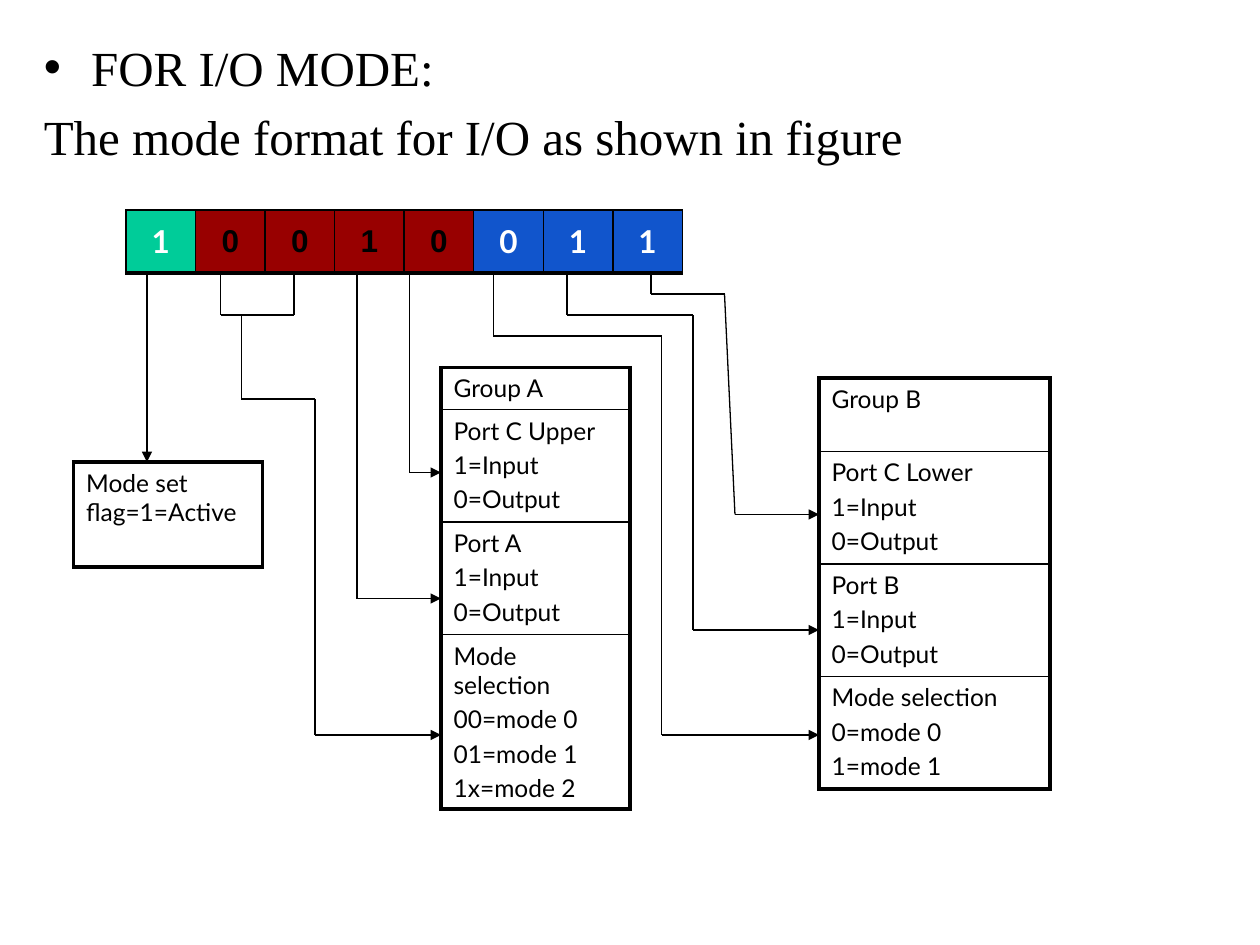
from dataclasses import dataclass
from itertools import pairwise

from lxml.etree import SubElement
from pptx import Presentation
from pptx.dml.color import RGBColor
from pptx.enum.shapes import MSO_CONNECTOR
from pptx.enum.text import MSO_ANCHOR, PP_ALIGN
from pptx.oxml.ns import qn
from pptx.util import Pt

COLORS = {"ink": "000000", "white": "FFFFFF", "flag": "00CC99",
          "group_a": "980000", "group_b": "1155CC"}
THIN, THICK = 1, 2.25
TABLE_FRAME = 236.22


@dataclass
class Bit:
    value: str
    fill: str
    color: str
    font: str


@dataclass
class Panel:
    left: float
    top: float
    width: float
    heights: list[float]
    rows: list[list[str]]


@dataclass
class Wire:
    points: list[tuple[float, float]]
    arrow: bool = True


flag_bit = Bit("1", "flag", "white", "Lato")
BITS = ([flag_bit]
        + [Bit(value, "group_a", "ink", "Arial") for value in "0010"]
        + [Bit(value, "group_b", "white", "Lato") for value in "011"])

IN_OUT = ["1=Input", "0=Output"]
PANELS = [
    Panel(252, 210, 108, [24, 64.3, 64.3, 84], [
        ["Group A"], ["Port C Upper", *IN_OUT], ["Port A", *IN_OUT],
        ["Mode selection", "00=mode 0", "01=mode 1", "1x=mode 2"]]),
    Panel(468, 216, 132, [42, 64.3, 64.3, 64.3], [
        ["Group B"], ["Port C Lower", *IN_OUT], ["Port B", *IN_OUT],
        ["Mode selection", "0=mode 0", "1=mode 1"]]),
    Panel(42, 264, 108, [60], [["Mode set flag=1=Active"]]),
]

BITS_BOTTOM = 156
WIRES = [
    Wire([(84, BITS_BOTTOM), (84, 264)]),
    Wire([(126, BITS_BOTTOM), (126, 180), (168, 180), (168, BITS_BOTTOM)], arrow=False),
    Wire([(138, 180), (138, 228), (180, 228), (180, 420), (252, 420)]),
    Wire([(204, BITS_BOTTOM), (204, 342), (252, 342)]),
    Wire([(234, BITS_BOTTOM), (234, 270), (252, 270)]),
    Wire([(282, BITS_BOTTOM), (282, 192), (378, 192), (378, 420), (468, 420)]),
    Wire([(324, BITS_BOTTOM), (324, 180), (396, 180), (396, 360), (468, 360)]),
    Wire([(372, BITS_BOTTOM), (372, 168), (414, 168), (420, 294), (468, 294)]),
]


def rgb(name: str) -> RGBColor:
    return RGBColor.from_string(COLORS[name])


def style(paragraph, font: str, size: float, color: str, bold: bool = False) -> None:
    paragraph.font.name = font
    paragraph.font.size = Pt(size)
    paragraph.font.bold = bold
    paragraph.font.color.rgb = rgb(color)


def set_borders(cell, left: float, right: float, top: float, bottom: float) -> None:
    """Borders go into the cell before its fill."""
    properties = cell._tc.get_or_add_tcPr()
    for side, width in zip("LRTB", (left, right, top, bottom)):
        line = SubElement(properties, qn(f"a:ln{side}"), w=str(Pt(width)))
        fill = SubElement(line, qn("a:solidFill"))
        SubElement(fill, qn("a:srgbClr"), val=COLORS["ink"])


def add_plain_table(slide, left: float, top: float,
                    widths: list[float], heights: list[float]):
    frame = slide.shapes.add_table(
        len(heights), len(widths), Pt(left), Pt(top),
        Pt(TABLE_FRAME), Pt(TABLE_FRAME))
    table = frame.table
    table.first_row = table.horz_banding = False
    for column, width in zip(table.columns, widths):
        column.width = Pt(width)
    for row, height in zip(table.rows, heights):
        row.height = Pt(height)
    # Every table keeps the same square frame, whatever its rows and columns add up to
    frame.width = frame.height = Pt(TABLE_FRAME)
    return table


def add_heading(slide) -> None:
    frame = slide.shapes.add_textbox(Pt(18), Pt(18), Pt(690), Pt(498)).text_frame
    frame.word_wrap = True
    frame.text = "FOR I/O MODE:\nThe mode format for I/O as shown in figure"
    title, subtitle = frame.paragraphs
    for paragraph in (title, subtitle):
        properties = paragraph._p.get_or_add_pPr()
        properties.set("marL", str(Pt(27)))
        properties.set("indent", str(Pt(-27)))
    bullet_color = SubElement(title._p.pPr, qn("a:buClr"))
    SubElement(bullet_color, qn("a:srgbClr"), val=COLORS["ink"])
    SubElement(title._p.pPr, qn("a:buFont"), typeface="Arial")
    SubElement(title._p.pPr, qn("a:buChar"), char="•")
    SubElement(subtitle._p.pPr, qn("a:buNone"))
    subtitle.space_before = Pt(5.6)
    for paragraph in (title, subtitle):
        style(paragraph, "Times New Roman", 28, "ink")


def add_control_word(slide, bits: list[Bit]) -> None:
    table = add_plain_table(slide, 72, 120, [39.75] * len(bits), [36])
    for cell, bit in zip(table.iter_cells(), bits):
        set_borders(cell, THIN, THIN, THIN, 3)
        cell.fill.solid()
        cell.fill.fore_color.rgb = rgb(bit.fill)
        cell.vertical_anchor = MSO_ANCHOR.MIDDLE
        cell.text = bit.value
        digit = cell.text_frame.paragraphs[0]
        digit.alignment = PP_ALIGN.CENTER
        style(digit, bit.font, 18, bit.color, bold=True)


def add_panel(slide, panel: Panel) -> None:
    table = add_plain_table(slide, panel.left, panel.top, [panel.width], panel.heights)
    last = len(panel.rows) - 1
    for index, (cell, lines) in enumerate(zip(table.iter_cells(), panel.rows)):
        set_borders(cell, THICK, THICK, THICK if index == 0 else THIN,
                    THICK if index == last else THIN)
        cell.fill.background()
        cell.text = "\n".join(lines)
        for number, paragraph in enumerate(cell.text_frame.paragraphs):
            if number:
                paragraph.space_before = Pt(2.8)
            style(paragraph, "Lato", 14, "ink")


def add_wire(slide, wire: Wire) -> None:
    for start, end in pairwise(wire.points):
        segment = slide.shapes.add_connector(
            MSO_CONNECTOR.STRAIGHT, *(Pt(value) for value in (*start, *end)))
        segment.line.width = Pt(0.75)
        segment.line.color.rgb = rgb("ink")
        if wire.arrow and end == wire.points[-1]:
            SubElement(segment.line._get_or_add_ln(), qn("a:tailEnd"), type="triangle")
        SubElement(segment._element.spPr, qn("a:effectLst"))


def main() -> None:
    presentation = Presentation()
    presentation.slide_width, presentation.slide_height = Pt(720), Pt(540)
    slide = presentation.slides.add_slide(presentation.slide_layouts[6])

    # Heading and the eight control bits
    add_heading(slide)
    add_control_word(slide, BITS)

    # Meaning of the bits, and the wires that lead there
    for panel in PANELS:
        add_panel(slide, panel)
    for wire in WIRES:
        add_wire(slide, wire)

    presentation.save("out.pptx")


if __name__ == "__main__":
    main()
